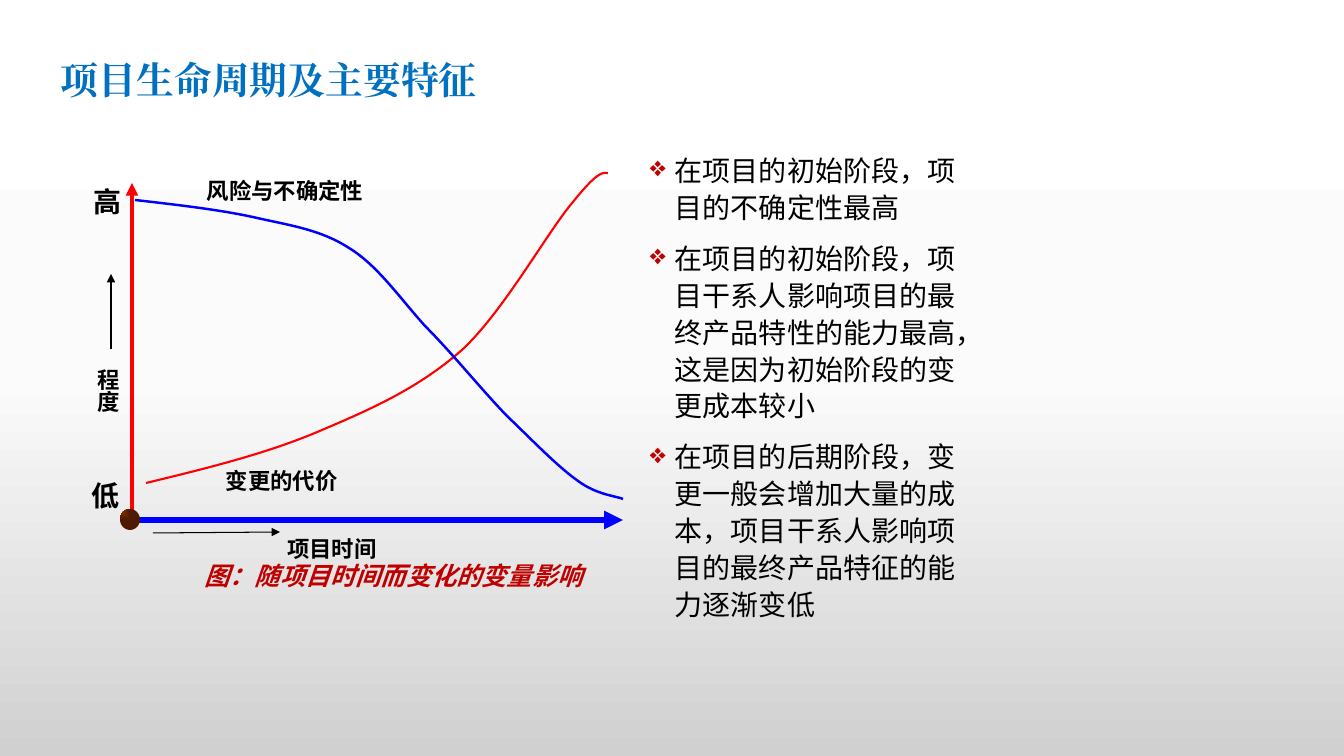
import lxml.etree
import pptx
import pptx.dml.color
import pptx.enum.shapes
import pptx.enum.text
import pptx.oxml
import pptx.oxml.ns
import pptx.util

PX = 914400 / 100.8
qn = pptx.oxml.ns.qn
RGB = pptx.dml.color.RGBColor.from_string
Pt = pptx.util.Pt
CENTER = pptx.enum.text.PP_ALIGN.CENTER
GROW = pptx.enum.text.MSO_AUTO_SIZE.SHAPE_TO_FIT_TEXT

THEME = {
    "title": {"size": 27, "color": "0070C0", "bold": True, "name": "Cambria"},
    "caption": {"size": 18, "color": "C00000", "bold": True, "italic": True, "name": "Calibri"},
    "label": {"size": 16, "color": "000000", "bold": True, "name": "Noto Sans CJK SC"},
    "level": {"size": 20, "color": "000000", "bold": True, "name": "Noto Sans CJK SC"},
    "body": {"size": 20, "color": "000000", "name": "Noto Sans CJK SC"},
    "bullet": "C00000",
    "risk": "0000FF",
    "cost": "FF0000",
    "arrow": "000000",
    "backdrop": [(0, "FFFFFF"), (50, "FBFBFB"), (100, "D0D0D0")],
    "origin": [(0, "993300"), (100, "4D1A00")],
}


def add_text(box, lines, style, para=None, frame=None, vertical=False, bullet=False, indent=0):
    """Add a text box; para and frame hold paragraph and text frame settings."""
    tf = slide.shapes.add_textbox(*[round(v * PX) for v in box]).text_frame
    for key, value in {"word_wrap": True, **(frame or {})}.items():
        setattr(tf, key, value)
    if vertical:
        tf._txBody.bodyPr.set("vert", "eaVert")
    for i, line in enumerate(lines):
        p = tf.paragraphs[0] if i == 0 else tf.add_paragraph()
        pPr = p._p.get_or_add_pPr()
        if indent:
            pPr.set("marL", str(round(indent * PX)))
        if bullet:
            pPr.set("indent", str(-round(indent * PX)))
            color = lxml.etree.SubElement(pPr, qn("a:buClr"))
            lxml.etree.SubElement(color, qn("a:srgbClr"), val=THEME["bullet"])
            lxml.etree.SubElement(pPr, qn("a:buChar"), char="❖")
        for key, value in (para or {}).items():
            setattr(p, key, value)
        if i:
            p.space_before = Pt(10)
        r = p.add_run()
        r.text = line
        for key, value in THEME[style].items():
            if key == "color":
                r.font.color.rgb = RGB(value)
            else:
                setattr(r.font, key, Pt(value) if key == "size" else value)
        rPr = r._r.get_or_add_rPr()
        rPr.set("lang", "zh-CN")
        ea = "Cambria" if style == "title" else "Calibri"
        rPr.find(qn("a:latin")).addnext(rPr.makeelement(qn("a:ea"), {"typeface": ea}))


def fill_gradient(fill, parent, stops, direction):
    """Give a fill colour stops; direction is its a:lin or a:path element."""
    fill.solid()
    solid = next(parent.iter(qn("a:solidFill")))
    marks = "".join(
        f'<a:gs pos="{pos * 1000}"><a:srgbClr val="{color}"/></a:gs>' for pos, color in stops)
    solid.getparent().replace(solid, pptx.oxml.parse_xml(
        f'<a:gradFill {pptx.oxml.ns.nsdecls("a")} rotWithShape="1">'
        f"<a:gsLst>{marks}</a:gsLst>{direction}</a:gradFill>"))


prs = pptx.Presentation()
prs.slide_width, prs.slide_height = round(1344 * PX), round(756 * PX)
slide = prs.slides.add_slide(prs.slide_layouts[6])
fill_gradient(slide.background.fill, slide._element, THEME["backdrop"],
              '<a:lin ang="5400000" scaled="0"/>')

add_text((-11, 559, 741, 56), ["图：随项目时间而变化的变量影响"], "caption",
         {"alignment": CENTER, "line_spacing": 0.9}, indent=68)

# Axes and direction arrows
for x1, y1, x2, y2, color, width in [
    (132, 520, 623, 520, "risk", 4.5),
    (132, 525, 132, 183, "cost", 3),
    (111, 349, 111, 274, "arrow", 0.75),
    (153, 533, 280, 532, "arrow", 0.75),
]:
    c = slide.shapes.add_connector(pptx.enum.shapes.MSO_CONNECTOR.STRAIGHT,
                                   *[round(v * PX) for v in (x1, y1, x2, y2)])
    c.line.color.rgb = RGB(THEME[color])
    c.line.width = Pt(width)
    lxml.etree.SubElement(c.line._get_or_add_ln(), qn("a:tailEnd"), type="triangle")
    lxml.etree.SubElement(c._element.spPr, qn("a:effectLst"))

# Chart labels
for box, text, style, vertical, align in [
    ((268, 530, 128, 37), "项目时间", "label", False, CENTER),
    ((72, 472, 54, 57), "低", "level", True, CENTER),
    ((74, 178, 54, 57), "高", "level", True, CENTER),
    ((79, 359, 47, 75), "程度", "label", True, None),
    ((216, 462, 141, 37), "变更的代价", "label", False, None),
    ((197, 172, 210, 37), "风险与不确定性", "label", False, None),
]:
    add_text(box, [text], style, {"alignment": align}, {"auto_size": GROW}, vertical)

# Curves: a start point, then three Bézier points for each segment
for color, width, points in [
    ("cost", 1.5, [(146, 483), (208, 468), (269, 453), (322, 430), (374, 408), (420, 387),
                   (462, 350), (504, 311), (548, 231), (573, 202), (597, 172), (603, 172),
                   (608, 173)]),
    ("risk", 1.75, [(135, 200), (178, 205), (222, 210), (257, 218), (293, 226), (321, 230),
                    (349, 248), (377, 265), (399, 297), (425, 326), (452, 353), (481, 389),
                    (506, 415), (532, 440), (558, 467), (578, 481), (597, 495), (616, 496),
                    (623, 499)]),
]:
    builder = slide.shapes.build_freeform(*points[0], scale=PX)
    builder.add_line_segments(points[1:], close=False)
    sp = builder.convert_to_shape()
    sp.shadow.inherit = False
    sp.fill.background()
    sp.line.color.rgb = RGB(THEME[color])
    sp.line.width = Pt(width)
    outline = next(sp._element.iter(qn("a:path")))
    steps = outline.findall(qn("a:lnTo"))
    for i, step in enumerate(steps):
        if i % 3 == 0:
            bezier = lxml.etree.SubElement(outline, qn("a:cubicBezTo"))
        bezier.append(step[0])
        outline.remove(step)

sp = slide.shapes.add_shape(pptx.enum.shapes.MSO_SHAPE.OVAL,
                            *[round(v * PX) for v in (120, 509, 20, 21)])
sp.shadow.inherit = False
sp.line.fill.background()
fill_gradient(sp.fill, sp._element.spPr, THEME["origin"],
              '<a:path path="rect"><a:fillToRect r="100000" b="100000"/></a:path>')

add_text((640, 145, 347, 486), [
    "在项目的初始阶段，项目的不确定性最高",
    "在项目的初始阶段，项目干系人影响项目的最终产品特性的能力最高，这是因为初始阶段的变更成本较小",
    "在项目的后期阶段，变更一般会增加大量的成本，项目干系人影响项目的最终产品特征的能力逐渐变低",
], "body", {"line_spacing": 1.1}, {"auto_size": GROW}, bullet=True, indent=25)

add_text((51, 51, 986, 62), ["项目生命周期及主要特征"], "title", {"line_spacing": 0.9},
         {"vertical_anchor": pptx.enum.text.MSO_ANCHOR.MIDDLE})

prs.save("out.pptx")
